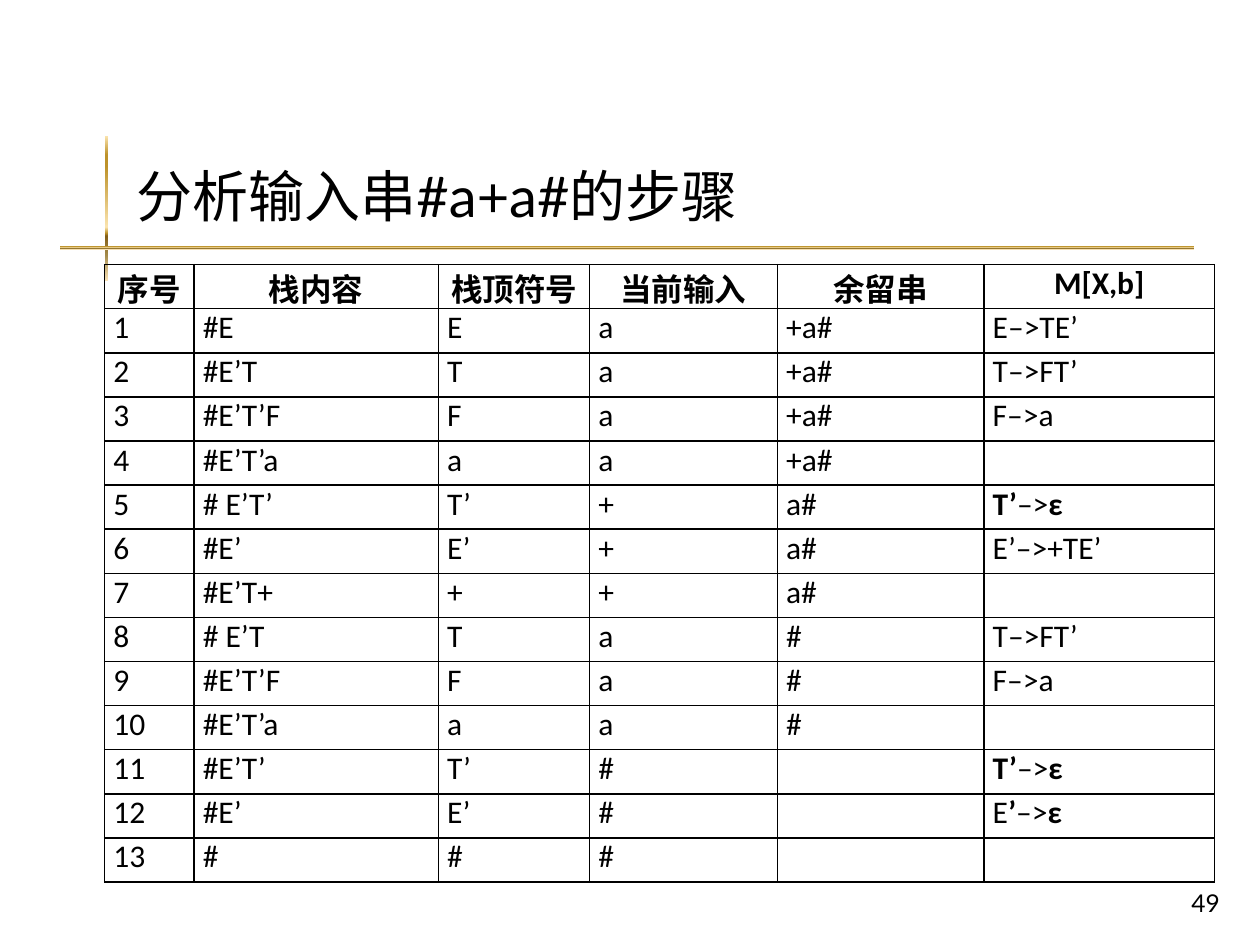
from lxml.etree import SubElement
from pptx import Presentation
from pptx.dml.color import RGBColor
from pptx.enum.shapes import MSO_SHAPE as SHAPE
from pptx.enum.text import MSO_ANCHOR as ANCHOR, PP_ALIGN as ALIGN
from pptx.oxml import parse_xml
from pptx.oxml.ns import nsdecls, qn
from pptx.util import Inches, Pt

BLACK = RGBColor(0, 0, 0)
GOLD_STOPS = [
    (0, RGBColor(0xFB, 0xE4, 0xAE)),
    (13, RGBColor(0xBD, 0x92, 0x2A)),
    (21, RGBColor(0xBD, 0x92, 0x2A)),
    (63, RGBColor(0xFB, 0xE4, 0xAE)),
    (67, RGBColor(0xBD, 0x92, 0x2A)),
    (69, RGBColor(0x83, 0x5E, 0x17)),
    (82, RGBColor(0xA2, 0x89, 0x49)),
    (100, RGBColor(0xFA, 0xE3, 0xB7)),
]

HEADERS = ["序号", "栈内容", "栈顶符号", "当前输入", "余留串", "M[X,b]"]
BOLD_MARK = "*"
STEPS = [
    ("#E", "E", "a", "+a#", "E–>TE’"),
    ("#E’T", "T", "a", "+a#", "T–>FT’"),
    ("#E’T’F", "F", "a", "+a#", "F–>a"),
    ("#E’T’a", "a", "a", "+a#", ""),
    ("# E’T’", "T’", "+", "a#", "*T’*–>*ε*"),
    ("#E’", "E’", "+", "a#", "E’–>+TE’"),
    ("#E’T+", "+", "+", "a#", ""),
    ("# E’T", "T", "a", "#", "T–>FT’"),
    ("#E’T’F", "F", "a", "#", "F–>a"),
    ("#E’T’a", "a", "a", "#", ""),
    ("#E’T’", "T’", "#", "", "*T’*–>*ε*"),
    ("#E’", "E’", "#", "", "E*’*–>*ε*"),
    ("#", "#", "#", "", ""),
]
COL_WIDTHS = [0.71, 1.94, 1.2, 1.49, 1.64, 1.83]
ROW_HEIGHT = 0.35


def set_attrs(obj, **values):
    for name, value in values.items():
        setattr(obj, name, value)


def add_run(p, text, font, size, bold=False):
    r = p.add_run()
    r.text = text
    set_attrs(r.font, name=font, size=Pt(size), bold=bold)
    r.font.color.rgb = BLACK


def add_gold_bar(slide, box):
    sp = slide.shapes.add_shape(SHAPE.RECTANGLE, *map(Inches, box))
    sp.shadow.inherit = False
    stops = "".join(
        f'<a:gs pos="{pos * 1000}"><a:srgbClr val="{color}"/></a:gs>'
        for pos, color in GOLD_STOPS
    )
    grad = parse_xml(
        f'<a:gradFill {nsdecls("a")}><a:gsLst>{stops}</a:gsLst>'
        '<a:lin ang="5400000" scaled="0"/></a:gradFill>'
    )
    sp._element.spPr.find(qn("a:prstGeom")).addnext(grad)
    sp.line.fill.background()


def add_title(slide, box):
    title = slide.shapes.title
    left, top, width, height = map(Inches, box)
    set_attrs(title, left=left, top=top, width=width, height=height)
    tf = title.text_frame
    set_attrs(tf, word_wrap=True, vertical_anchor=ANCHOR.MIDDLE)
    p = tf.paragraphs[0]
    p.alignment = ALIGN.LEFT
    add_run(p, "分析输入串#a+a#的步骤", "Lato", 32)


def add_page_number(slide, box):
    tf = slide.shapes.add_textbox(*map(Inches, box)).text_frame
    set_attrs(tf, word_wrap=True, vertical_anchor=ANCHOR.BOTTOM)
    p = tf.paragraphs[0]
    p.alignment = ALIGN.RIGHT
    add_run(p, "49", "Lato", 14)


def add_borders(cell):
    tcPr = cell._tc.get_or_add_tcPr()
    for side in ("a:lnL", "a:lnR", "a:lnT", "a:lnB"):
        ln = SubElement(tcPr, qn(side), w=str(Pt(1)))
        fill = SubElement(ln, qn("a:solidFill"))
        SubElement(fill, qn("a:srgbClr"), val=str(BLACK))


def fill_cell(cell, text, header):
    inset = Inches(0.07)
    set_attrs(cell, margin_left=inset, margin_right=inset, margin_top=0,
              margin_bottom=0, vertical_anchor=ANCHOR.TOP)
    add_borders(cell)
    cell.fill.background()
    p = cell.text_frame.paragraphs[0]
    p.alignment = ALIGN.CENTER if header else ALIGN.JUSTIFY
    for i, part in enumerate(text.split(BOLD_MARK)):
        if part:
            add_run(p, part, "Calibri", 18, header or i % 2 == 1)


def add_steps_table(slide, left, top):
    rows = [HEADERS] + [(str(n), *step) for n, step in enumerate(STEPS, 1)]
    table = slide.shapes.add_table(
        len(rows), len(HEADERS), Inches(left), Inches(top),
        Inches(sum(COL_WIDTHS)), Inches(ROW_HEIGHT * len(rows)),
    ).table
    set_attrs(table, first_row=False, horz_banding=False)
    for col, width in zip(table.columns, COL_WIDTHS):
        col.width = Inches(width)
    for i, row in enumerate(rows):
        table.rows[i].height = Inches(ROW_HEIGHT)
        for j, text in enumerate(row):
            fill_cell(table.cell(i, j), text, header=i == 0)


def main():
    prs = Presentation()
    set_attrs(prs, slide_width=Inches(10), slide_height=Inches(7.5))
    slide = prs.slides.add_slide(prs.slide_layouts[5])
    add_gold_bar(slide, (0.83, 1.08, 0.03, 1.15))
    add_gold_bar(slide, (0.48, 1.95, 9, 0.03))
    add_page_number(slide, (7.7, 6.83, 2.08, 0.5))
    add_steps_table(slide, 0.83, 2.1)
    add_title(slide, (0.98, 1.23, 5.59, 0.64))
    prs.save("out.pptx")


if __name__ == "__main__":
    main()
